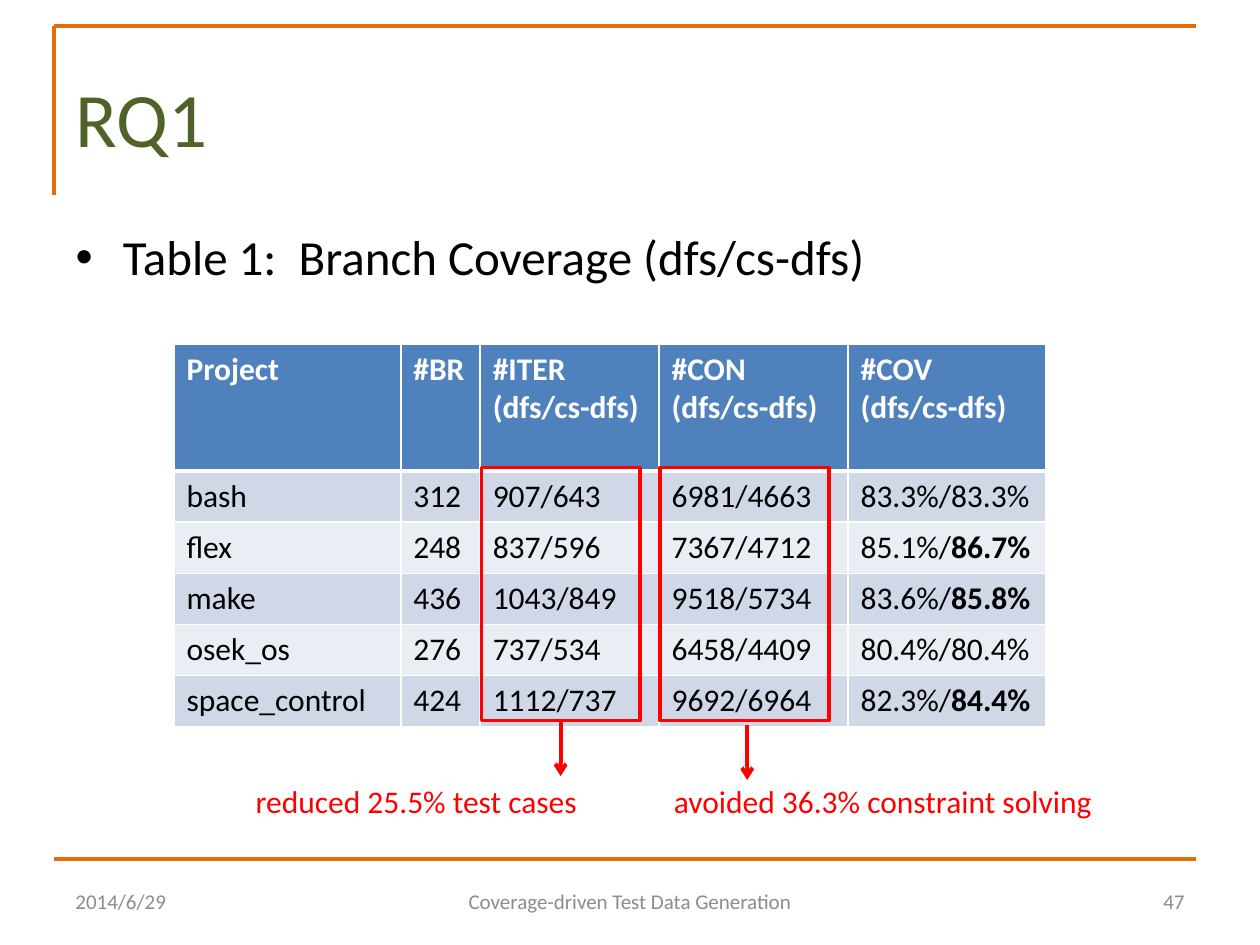
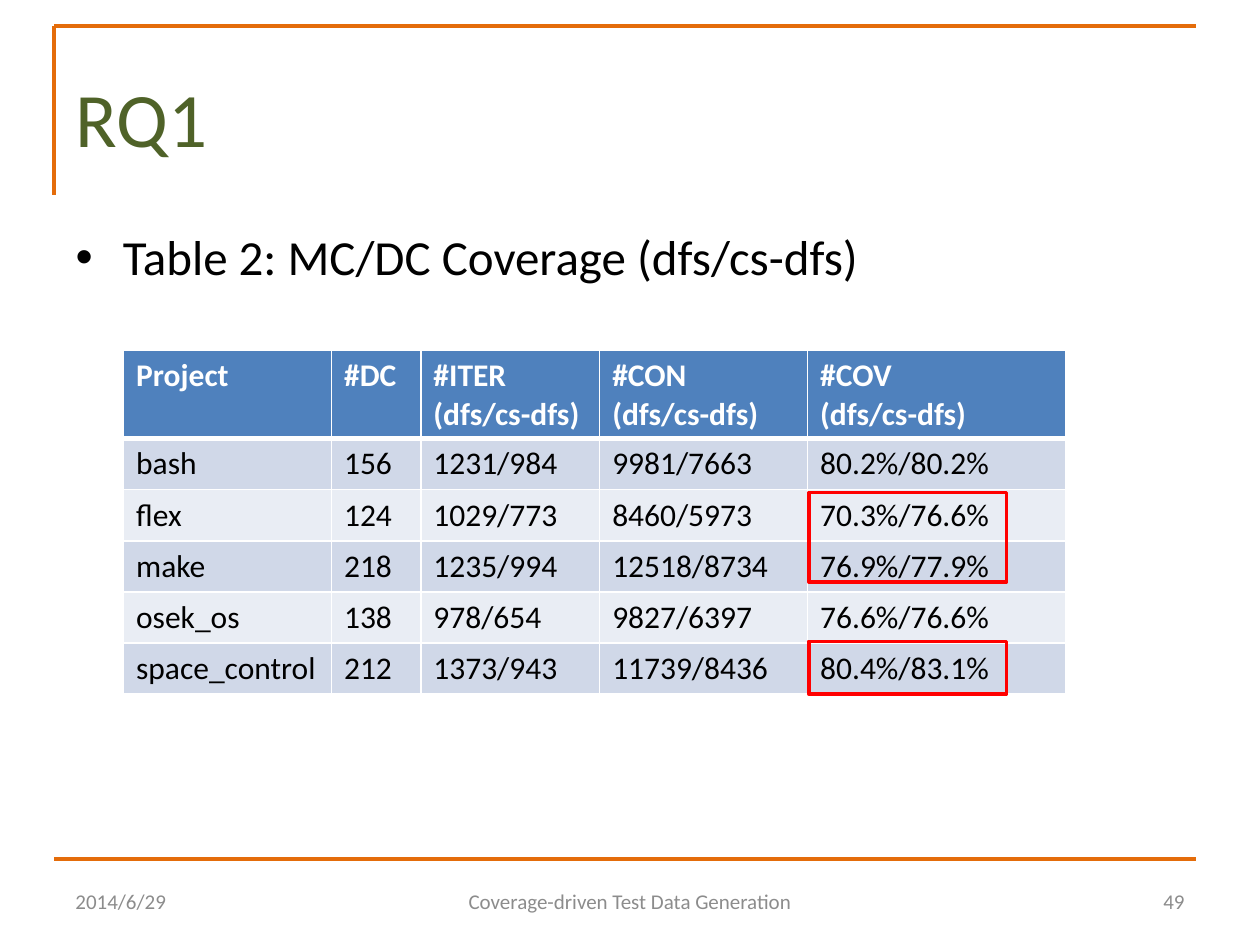
import lxml.etree
import pptx
import pptx.dml.color
import pptx.enum.shapes
import pptx.enum.text
import pptx.oxml.ns
import pptx.util

RATIO = "\n(dfs/cs-dfs)"
DATE = "2014/6/29"
TALK = "Coverage-driven Test Data Generation"

SLIDES = [
    {
        "title": "RQ1",
        "caption": "Table 1:  Branch Coverage (dfs/cs-dfs)",
        "number": "47",
        "origin": (99.4, 196.6),
        "columns": [129.6, 45.4, 102.2, 108, 113],
        "header_height": 72.6,
        "rows": [
            ["Project", "#BR", "#ITER" + RATIO, "#CON" + RATIO, "#COV" + RATIO],
            ["bash", "312", "907/643", "6981/4663", "83.3%/83.3%"],
            ["flex", "248", "837/596", "7367/4712", "85.1%/**86.7%"],
            ["make", "436", "1043/849", "9518/5734", "83.6%/**85.8%"],
            ["osek_os", "276", "737/534", "6458/4409", "80.4%/80.4%"],
            ["space_control", "424", "1112/737", "9692/6964", "82.3%/**84.4%"],
        ],
        "highlights": [
            {"column": 2, "top": 267.1, "width": 90.7, "height": 144.7},
            {"column": 3, "top": 267.1, "width": 96.5, "height": 144.7},
        ],
        "findings": [
            {"text": "reduced 25.5% test cases", "left": 139, "width": 218.2,
             "arrow": (320.4, 411.8)},
            {"text": "avoided 36.3% constraint solving", "left": 378, "width": 254.2,
             "arrow": (427, 414)},
        ],
    },
    {
        "title": "RQ1",
        "caption": "Table 2: MC/DC Coverage (dfs/cs-dfs)",
        "number": "49",
        "origin": (70.6, 200.2),
        "columns": [118.8, 51.1, 102.2, 118.8, 147.6],
        "header_height": 50.4,
        "rows": [
            ["Project", "#DC", "#ITER" + RATIO, "#CON" + RATIO, "#COV" + RATIO],
            ["bash", "156", "1231/984", "9981/7663", "80.2%/80.2%"],
            ["flex", "124", "1029/773", "8460/5973", "70.3%/76.6%"],
            ["make", "218", "1235/994", "12518/8734", "76.9%/77.9%"],
            ["osek_os", "138", "978/654", "9827/6397", "76.6%/76.6%"],
            ["space_control", "212", "1373/943", "11739/8436", "80.4%/83.1%"],
        ],
        "highlights": [
            {"column": 4, "top": 281.5, "width": 113, "height": 51.1},
            {"column": 4, "top": 366.5, "width": 113, "height": 30.2},
        ],
        "findings": [],
    },
]

Pt = pptx.util.Pt
qn = pptx.oxml.ns.qn
ALIGN = pptx.enum.text.PP_ALIGN
ANCHOR = pptx.enum.text.MSO_ANCHOR

ORANGE, RED, WHITE = "E46C0A", "FF0000", "FFFFFF"
HEADER_FILL, BANDS = "4F81BD", ("D0D8E8", "E9EDF4")
ROW_HEIGHT = 29.2
FINDING_TOP, ARROW_LENGTH = 443.5, 31.7
FRAME_LEFT, FRAME_RIGHT, FRAME_TOP = 31, 683.3, 15.1
FRAME_LINES = [
    (FRAME_LEFT, FRAME_TOP, FRAME_LEFT, 111.6),
    (FRAME_LEFT, FRAME_TOP, FRAME_RIGHT, FRAME_TOP),
    (FRAME_LEFT, 491, FRAME_RIGHT, 491),
]
STYLES = {
    "title": {"size": 44, "color": "4F6228"},
    "caption": {"size": 28, "color": "000000"},
    "footer": {"size": 12, "color": "8C8C8C"},
    "header": {"size": 18, "color": WHITE, "bold": True},
    "value": {"size": 18, "color": "000000", "bold": False},
    "finding": {"size": 18, "color": RED},
}


def color(value):
    return pptx.dml.color.RGBColor.from_string(value)


def assign(target, values):
    for name, value in values.items():
        setattr(target, name, value)


def place(part, left, top, width, height):
    box = {"left": left, "top": top, "width": width, "height": height}
    assign(part, {name: Pt(length) for name, length in box.items()})


def write(frame, text, style, align=ALIGN.LEFT, **frame_format):
    assign(frame, {"word_wrap": True, **frame_format})
    look = STYLES[style]
    for index, line in enumerate(text.split("\n")):
        paragraph = frame.add_paragraph() if index else frame.paragraphs[0]
        paragraph.alignment = align
        for emphasized, words in enumerate(line.split("**")):
            run = paragraph.add_run()
            run.text = words
            assign(run.font, {
                "name": "Calibri",
                "size": Pt(look["size"]),
                "bold": bool(emphasized) or look.get("bold", False),
            })
            run.font.color.rgb = color(look["color"])


def add_text(slide, box, text, style, align=ALIGN.LEFT, anchor=ANCHOR.TOP):
    label = slide.shapes.add_textbox(*map(Pt, box))
    write(label.text_frame, text, style, align, vertical_anchor=anchor)


def outline(part, line_color, width):
    part.line.color.rgb = color(line_color)
    part.line.width = Pt(width)


def add_line(slide, ends, line_color, arrow=False):
    line = slide.shapes.add_connector(
        pptx.enum.shapes.MSO_CONNECTOR.STRAIGHT, *map(Pt, ends))
    outline(line, line_color, 2.25)
    properties = line._element.spPr
    if arrow:
        lxml.etree.SubElement(properties.find(qn("a:ln")), qn("a:tailEnd"), type="arrow")
    lxml.etree.SubElement(properties, qn("a:effectLst"))


def add_borders(cell, widths):
    properties = cell._tc.get_or_add_tcPr()
    for index, (side, width) in enumerate(widths.items()):
        border = lxml.etree.Element(qn("a:ln" + side), w=str(Pt(width)))
        solid = lxml.etree.SubElement(border, qn("a:solidFill"))
        lxml.etree.SubElement(solid, qn("a:srgbClr"), val=WHITE)
        properties.insert(index, border)


def add_results(slide, content):
    rows, columns = content["rows"], content["columns"]
    heights = [content["header_height"]] + [ROW_HEIGHT] * (len(rows) - 1)
    box = (*content["origin"], sum(columns), sum(heights))
    results = slide.shapes.add_table(len(rows), len(columns), *map(Pt, box)).table
    for column, width in zip(results.columns, columns):
        column.width = Pt(width)
    for r, (values, height) in enumerate(zip(rows, heights)):
        results.rows[r].height = Pt(height)
        for c, value in enumerate(values):
            cell = results.cell(r, c)
            cell.fill.solid()
            cell.fill.fore_color.rgb = color(BANDS[(r - 1) % 2] if r else HEADER_FILL)
            add_borders(cell, {"L": 1, "R": 1, "T": 3 if r == 1 else 1, "B": 1 if r else 3})
            write(cell.text_frame, value, "value" if r else "header")


def add_highlight(slide, content, highlight):
    left = content["origin"][0] + sum(content["columns"][:highlight["column"]]) + 0.7
    box = (left, highlight["top"], highlight["width"], highlight["height"])
    frame = slide.shapes.add_shape(
        pptx.enum.shapes.MSO_SHAPE.RECTANGLE, *map(Pt, box))
    frame.shadow.inherit = False
    frame.fill.background()
    outline(frame, RED, 2)


def add_finding(slide, finding):
    x, y = finding["arrow"]
    add_line(slide, (x, y, x, y + ARROW_LENGTH), RED, arrow=True)
    add_text(slide, (finding["left"], FINDING_TOP, finding["width"], 29),
             finding["text"], "finding")


def add_frame(slide, number):
    for ends in FRAME_LINES:
        add_line(slide, ends, ORANGE)
    footers = [
        (DATE, 36, 168, ALIGN.LEFT),
        (TALK, 246, 228, ALIGN.CENTER),
        (number, 516, 168, ALIGN.RIGHT),
    ]
    for text, left, width, align in footers:
        add_text(slide, (left, 500.4, width, 28.8), text, "footer", align, ANCHOR.MIDDLE)


def build_slide(deck, content):
    slide = deck.slides.add_slide(deck.slide_layouts[1])
    title, caption = slide.placeholders
    place(title, 36, 21.6, 648, 90)
    write(title.text_frame, content["title"], "title", vertical_anchor=ANCHOR.MIDDLE)
    place(caption, 36, 126, 648, 356.4)
    write(caption.text_frame, content["caption"], "caption",
          auto_size=pptx.enum.text.MSO_AUTO_SIZE.NONE)
    add_frame(slide, content["number"])
    add_results(slide, content)
    for highlight in content["highlights"]:
        add_highlight(slide, content, highlight)
    for finding in content["findings"]:
        add_finding(slide, finding)


def main():
    deck = pptx.Presentation()
    assign(deck, {"slide_width": Pt(720), "slide_height": Pt(540)})
    for content in SLIDES:
        build_slide(deck, content)
    deck.save("out.pptx")


if __name__ == "__main__":
    main()
